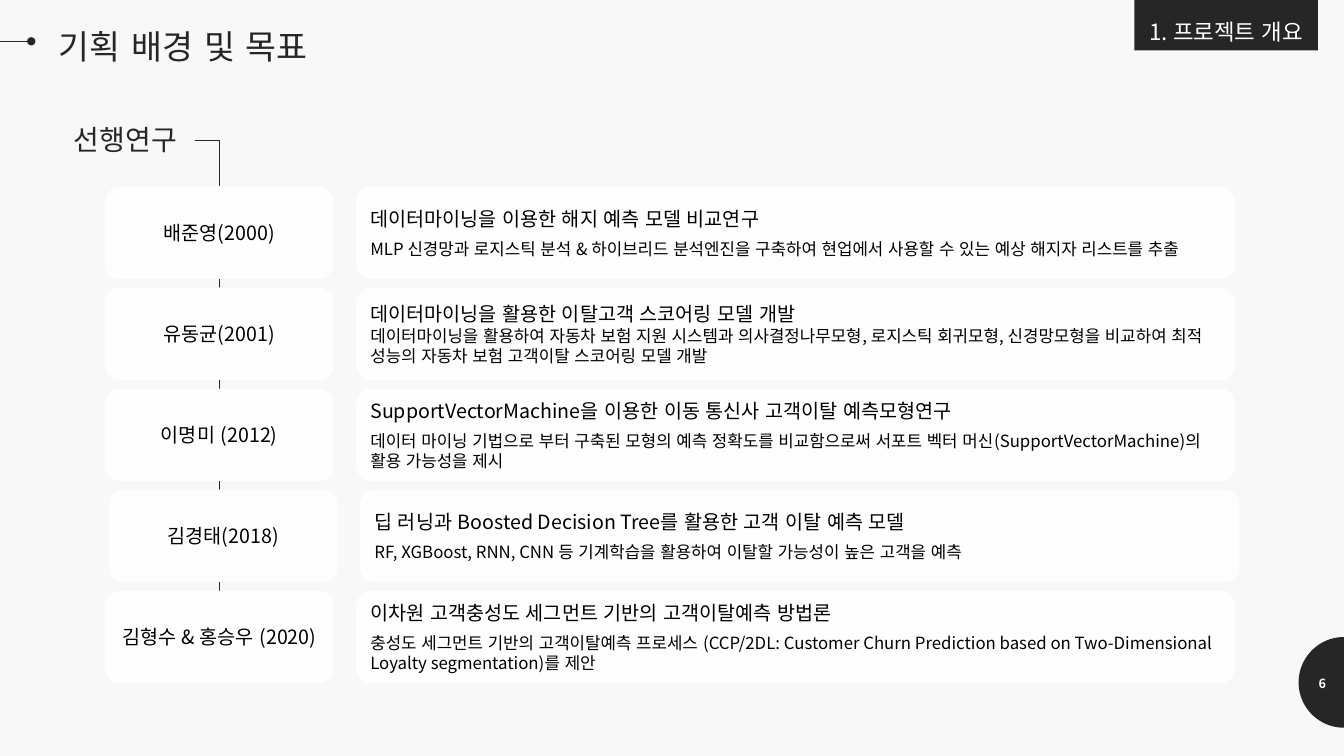
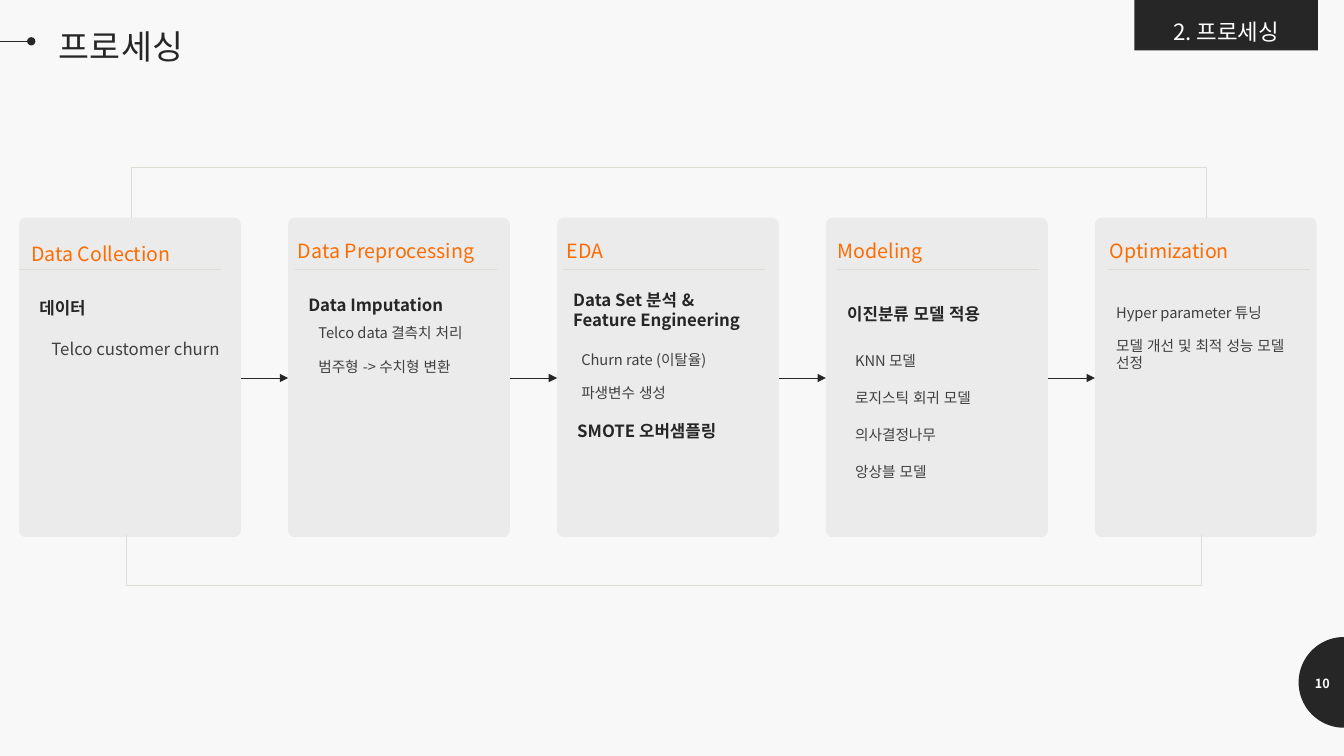
"""Builds two slides: earlier churn studies and the processing pipeline."""
from copy import deepcopy
from dataclasses import dataclass
from math import cos, pi, sin

from lxml import etree
from pptx import Presentation
from pptx.dml.color import RGBColor
from pptx.enum.lang import MSO_LANGUAGE_ID
from pptx.enum.shapes import MSO_CONNECTOR, MSO_SHAPE
from pptx.enum.text import MSO_ANCHOR, MSO_AUTO_SIZE, PP_ALIGN
from pptx.oxml.ns import qn
from pptx.presentation import Presentation as Deck
from pptx.shapes.autoshape import Shape
from pptx.slide import Slide, SlideLayout
from pptx.text.text import TextFrame
from pptx.util import Inches, Pt

FONT = "Noto Sans CJK KR"
KOREAN = MSO_LANGUAGE_ID.KOREAN
RECTANGLE = MSO_SHAPE.RECTANGLE
ROUNDED = MSO_SHAPE.ROUNDED_RECTANGLE
STRAIGHT = MSO_CONNECTOR.STRAIGHT
LEFT, CENTER = PP_ALIGN.LEFT, PP_ALIGN.CENTER
TOP, MIDDLE, BOTTOM = MSO_ANCHOR.TOP, MSO_ANCHOR.MIDDLE, MSO_ANCHOR.BOTTOM
FIXED_SIZE = MSO_AUTO_SIZE.NONE

PAPER = RGBColor(0xF8, 0xF8, 0xF8)
WHITE = RGBColor(0xFF, 0xFF, 0xFF)
BLACK = RGBColor(0x00, 0x00, 0x00)
INK = RGBColor(0x26, 0x26, 0x26)
GRAY = RGBColor(0x40, 0x40, 0x40)
RULE = RGBColor(0xDD, 0xDD, 0xD5)
ORANGE = RGBColor(0xFE, 0x6B, 0x00)

PAGE_WIDTH, PAGE_HEIGHT = 13.33, 7.5
BADGE_RADIUS, BADGE_MIDDLE = 0.45, 6.77

STUDY_TOP, STUDY_PITCH, STUDY_HEIGHT = 1.85, (5.86 - 1.85) / 4, 0.92
AUTHOR_LEFT, AUTHOR_WIDTH = 1.04, 2.27
SUMMARY_LEFT, SUMMARY_WIDTH = 3.53, 8.72
SPINE = 2.18

STEP_LEFT, STEP_PITCH = 0.19, (10.86 - 0.19) / 4
STEP_TOP, STEP_WIDTH, STEP_HEIGHT = 2.16, 2.2, 3.17
STEP_RULE, STEP_RULE_WIDTH = 2.67, 2.0
LIST_WIDTH, LIST_HEIGHT = 2.05, 2.2

Point = tuple[float, float]
Area = tuple[float, float, float, float]


@dataclass
class Style:
    """Look of a run of text."""
    size: float
    color: RGBColor
    bold: bool = False


@dataclass
class Study:
    """One earlier study; shift moves its row sideways."""
    author: str
    title: str
    summary: str
    gap: float = 6
    shift: float = 0


@dataclass
class Item:
    """One list line with its indent in inches and gap above in points."""
    text: str
    style: Style
    indent: float = 0
    gap: float = 0


@dataclass
class Step:
    """One pipeline step; shifts are measured from the left of its card."""
    heading: str
    heading_shift: float
    heading_top: float
    rule_shift: float
    list_shift: float
    list_top: float
    items: list[Item]


TITLE = Style(24, INK)
SECTION = Style(16, WHITE)
NUMBER = Style(9, WHITE, True)
SUBTITLE = Style(20, INK)
STUDY_TITLE = Style(14, BLACK)
STUDY_TEXT = Style(12, BLACK)
HEADING = Style(14, ORANGE)
TOPIC = Style(12, INK, True)
DATASET = Style(12, GRAY)
DETAIL = Style(10.5, GRAY)

STUDIES = [
    Study("배준영(2000)", "데이터마이닝을 이용한 해지 예측 모델 비교연구",
          "MLP 신경망과 로지스틱 분석 & 하이브리드 분석엔진을 구축하여 현업에서 사용할 수 있는 "
          "예상 해지자 리스트를 추출"),
    Study("유동균(2001)", "데이터마이닝을 활용한 이탈고객 스코어링 모델 개발",
          "데이터마이닝을 활용하여 자동차 보험 지원 시스템과 의사결정나무모형, 로지스틱 회귀모형, "
          "신경망모형을 비교하여 최적 성능의 자동차 보험 고객이탈 스코어링 모델 개발", gap=0),
    Study("이명미 (2012)", "SupportVectorMachine을 이용한 이동 통신사 고객이탈 예측모형연구",
          "데이터 마이닝 기법으로 부터 구축된 모형의 예측 정확도를 비교함으로써 서포트 벡터 "
          "머신(SupportVectorMachine)의 활용 가능성을 제시"),
    Study("김경태(2018)", "딥 러닝과 Boosted Decision Tree를 활용한 고객 이탈 예측 모델",
          "RF, XGBoost, RNN, CNN 등 기계학습을 활용하여 이탈할 가능성이 높은 고객을 예측", shift=0.04),
    Study("김형수 & 홍승우 (2020)", "이차원 고객충성도 세그먼트 기반의 고객이탈예측 방법론",
          "충성도 세그먼트 기반의 고객이탈예측 프로세스 (CCP/2DL: Customer Churn Prediction "
          "based on Two-Dimensional Loyalty segmentation)를 제안"),
]

STEPS = [
    Step("Data Collection", 0.02, 2.35, 0, 0.1, 2.9, [
        Item("데이터", TOPIC),
        Item("Telco customer churn", DATASET, 0.12, 15)]),
    Step("Data Preprocessing", 0, 2.32, 0.07, 0.1, 2.87, [
        Item("Data Imputation", TOPIC),
        Item("Telco data 결측치 처리", DETAIL, 0.1, 7),
        Item("범주형 -> 수치형 변환", DETAIL, 0.1, 11)]),
    Step("EDA", 0, 2.32, 0.06, 0.06, 2.82, [
        Item("Data Set 분석 & Feature Engineering", TOPIC),
        Item("Churn rate (이탈율)", DETAIL, 0.08, 15),
        Item("파생변수 생성", DETAIL, 0.08, 11),
        Item("SMOTE 오버샘플링", TOPIC, 0.04, 14)]),
    Step("Modeling", 0.02, 2.32, 0.11, 0.11, 2.96, [
        Item("이진분류 모델 적용", TOPIC),
        Item("KNN 모델", DETAIL, 0.08, 20),
        Item("로지스틱 회귀 모델", DETAIL, 0.08, 14),
        Item("의사결정나무", DETAIL, 0.08, 14),
        Item("앙상블 모델", DETAIL, 0.08, 14)]),
    Step("Optimization", 0.05, 2.32, 0.13, 0.11, 2.96, [
        Item("Hyper parameter 튜닝", DETAIL),
        Item("모델 개선 및 최적 성능 모델 선정", DETAIL, 0, 11)]),
]


def write(frame: TextFrame, items: list[Item], align: PP_ALIGN = LEFT,
          anchor: MSO_ANCHOR = TOP) -> None:
    """Write one paragraph per item into a text frame."""
    frame.word_wrap = True
    frame.auto_size = FIXED_SIZE
    frame.vertical_anchor = anchor
    for index, item in enumerate(items):
        para = frame.add_paragraph() if index else frame.paragraphs[0]
        para.alignment = align
        para.space_before = Pt(item.gap)
        properties = para._p.get_or_add_pPr()
        properties.set("marL", str(Inches(item.indent)))
        properties.set("indent", "0")
        etree.SubElement(properties, qn("a:buNone"))
        span = para.add_run()
        span.text = item.text
        span.font.size = Pt(item.style.size)
        span.font.bold = item.style.bold
        span.font.color.rgb = item.style.color
        span.font.name = FONT
        span.font.language_id = KOREAN
        etree.SubElement(span._r.get_or_add_rPr(), qn("a:ea"), typeface=FONT)


def set_insets(frame: TextFrame) -> None:
    """Give a frame the wide insets of titles and page numbers."""
    frame.margin_left = frame.margin_right = frame.margin_top = Inches(0.12)
    frame.margin_bottom = Inches(0.1)


def place(box: Shape, area: Area) -> None:
    """Move and size a box, in inches."""
    box.left, box.top, box.width, box.height = map(Inches, area)


def add_text(page: Slide, area: Area, text: str, style: Style,
             align: PP_ALIGN = LEFT, anchor: MSO_ANCHOR = TOP) -> Shape:
    """Add a text box with one paragraph."""
    box = page.shapes.add_textbox(*map(Inches, area))
    write(box.text_frame, [Item(text, style)], align, anchor)
    return box


def add_panel(page: Slide, kind: MSO_SHAPE, area: Area, color: RGBColor,
              opacity: int = 100) -> Shape:
    """Add a filled shape without outline, opacity in percent."""
    box = page.shapes.add_shape(kind, *map(Inches, area))
    box.shadow.inherit = False
    box.line.fill.background()
    box.fill.solid()
    box.fill.fore_color.rgb = color
    if opacity < 100:
        tint = box.fill._xPr.find(".//" + qn("a:srgbClr"))
        etree.SubElement(tint, qn("a:alpha"), val=str(opacity * 1000))
    return box


def add_line(page: Slide, start: Point, end: Point, color: RGBColor = INK,
             arrowhead: str = "") -> None:
    """Add a thin straight line, with an optional head at its end."""
    line = page.shapes.add_connector(STRAIGHT, *map(Inches, start + end))
    line.line.color.rgb = color
    line.line.width = Pt(0.5)
    if arrowhead:
        etree.SubElement(line.line._get_or_add_ln(), qn("a:tailEnd"), type=arrowhead)
    etree.SubElement(line._element.spPr, qn("a:effectLst"))


def add_outline(page: Slide, points: list[Point], closed: bool) -> Shape:
    """Add a freeform through the points, given in inches."""
    corners = [(Inches(x), Inches(y)) for x, y in points]
    builder = page.shapes.build_freeform(*corners[0])
    builder.add_line_segments(corners[1:], close=closed)
    outline = builder.convert_to_shape()
    outline.shadow.inherit = False
    return outline


def add_bend(page: Slide, points: list[Point], color: RGBColor) -> None:
    """Add a thin line with square corners."""
    bend = add_outline(page, points, False)
    bend.fill.background()
    bend.line.color.rgb = color
    bend.line.width = Pt(0.5)


def add_page(deck: Deck, layout: SlideLayout, title: str, section: str, number: int) -> Slide:
    """Add a slide with its title, section tag and page badge."""
    page = deck.slides.add_slide(layout)
    heading = page.shapes.title
    place(heading, (0.46, 0.1, 3, 0.62))
    write(heading.text_frame, [Item(title, TITLE)])
    set_insets(heading.text_frame)
    para = heading.text_frame.paragraphs[0]
    para.line_spacing = 1.1
    para.runs[0].font._element.set("spc", "40")
    add_line(page, (0, 0.41), (0.31, 0.41), arrowhead="oval")

    tag = add_panel(page, RECTANGLE, (11.25, 0, 1.82, 0.5), INK)
    write(tag.text_frame, [Item(section, SECTION)], CENTER, BOTTOM)

    angles = [pi / 2 + pi * turn / 48 for turn in range(49)]
    badge = add_outline(page, [(PAGE_WIDTH + BADGE_RADIUS * cos(angle),
                                BADGE_MIDDLE - BADGE_RADIUS * sin(angle))
                               for angle in angles], True)
    badge.fill.solid()
    badge.fill.fore_color.rgb = INK
    badge.line.fill.background()
    label = add_text(page, (12.89, 6.57, 0.45, 0.4), str(number), NUMBER, CENTER, MIDDLE)
    set_insets(label.text_frame)
    return page


def fill_studies(page: Slide) -> None:
    """Draw the rows of earlier studies along their spine."""
    add_text(page, (0.56, 1.06, 1.37, 0.65), "선행연구", SUBTITLE, CENTER, MIDDLE)
    add_bend(page, [(1.93, 1.39), (SPINE, 1.39), (SPINE, STUDY_TOP)], INK)
    for index, study in enumerate(STUDIES):
        top = STUDY_TOP + index * STUDY_PITCH
        if index:
            add_line(page, (SPINE, top - STUDY_PITCH + STUDY_HEIGHT), (SPINE, top))
        author = add_panel(page, ROUNDED, (AUTHOR_LEFT + study.shift, top, AUTHOR_WIDTH,
                                           STUDY_HEIGHT), WHITE, 90)
        write(author.text_frame, [Item(study.author, STUDY_TITLE)], CENTER, MIDDLE)
        summary = add_panel(page, ROUNDED, (SUMMARY_LEFT + study.shift, top, SUMMARY_WIDTH,
                                            STUDY_HEIGHT), WHITE, 90)
        write(summary.text_frame, [Item(study.title, STUDY_TITLE),
                                   Item(study.summary, STUDY_TEXT, gap=study.gap)], LEFT, MIDDLE)


def fill_steps(page: Slide) -> None:
    """Draw the pipeline cards, their lists, arrows and brackets."""
    lists = [box for box in page.placeholders if box.placeholder_format.idx]
    for index, (step, box) in enumerate(zip(STEPS, lists)):
        left = STEP_LEFT + index * STEP_PITCH
        card = add_panel(page, ROUNDED, (left, STEP_TOP, STEP_WIDTH, STEP_HEIGHT), INK, 6)
        card.adjustments[0] = 0.03
        add_text(page, (left + step.heading_shift, step.heading_top, STEP_WIDTH, 0.37),
                 step.heading, HEADING)
        rule = left + step.rule_shift
        add_line(page, (rule, STEP_RULE), (rule + STEP_RULE_WIDTH, STEP_RULE), RULE)
        place(box, (left + step.list_shift, step.list_top, LIST_WIDTH, LIST_HEIGHT))
        write(box.text_frame, step.items)
        page.shapes.element.append(box.element)
        if index:
            add_line(page, (left - STEP_PITCH + STEP_WIDTH, 3.75), (left, 3.75),
                     arrowhead="triangle")
    for start, end, edge, level in ((1.3, 11.97, 2.16, 1.66), (1.25, 11.92, 5.31, 5.81)):
        add_bend(page, [(start, edge), (start, level), (end, level), (end, edge)], RULE)


def add_list_slots(layout: SlideLayout, count: int) -> None:
    """Extend a layout to the given number of body placeholders."""
    body = layout.placeholders[1].element
    for number in range(20, 19 + count):
        slot = deepcopy(body)
        slot.find(".//" + qn("p:ph")).set("idx", str(number))
        slot.find(".//" + qn("p:cNvPr")).set("id", str(number))
        body.addnext(slot)


def main() -> None:
    """Build and save the deck."""
    deck = Presentation()
    deck.slide_width, deck.slide_height = Inches(PAGE_WIDTH), Inches(PAGE_HEIGHT)
    background = deck.slide_master.background.fill
    background.solid()
    background.fore_color.rgb = PAPER
    list_layout, title_layout = deck.slide_layouts[1], deck.slide_layouts[5]
    add_list_slots(list_layout, len(STEPS))
    fill_studies(add_page(deck, title_layout, "기획 배경 및 목표", "1. 프로젝트 개요", 6))
    fill_steps(add_page(deck, list_layout, "프로세싱", "2. 프로세싱", 10))
    deck.save("out.pptx")


if __name__ == "__main__":
    main()
